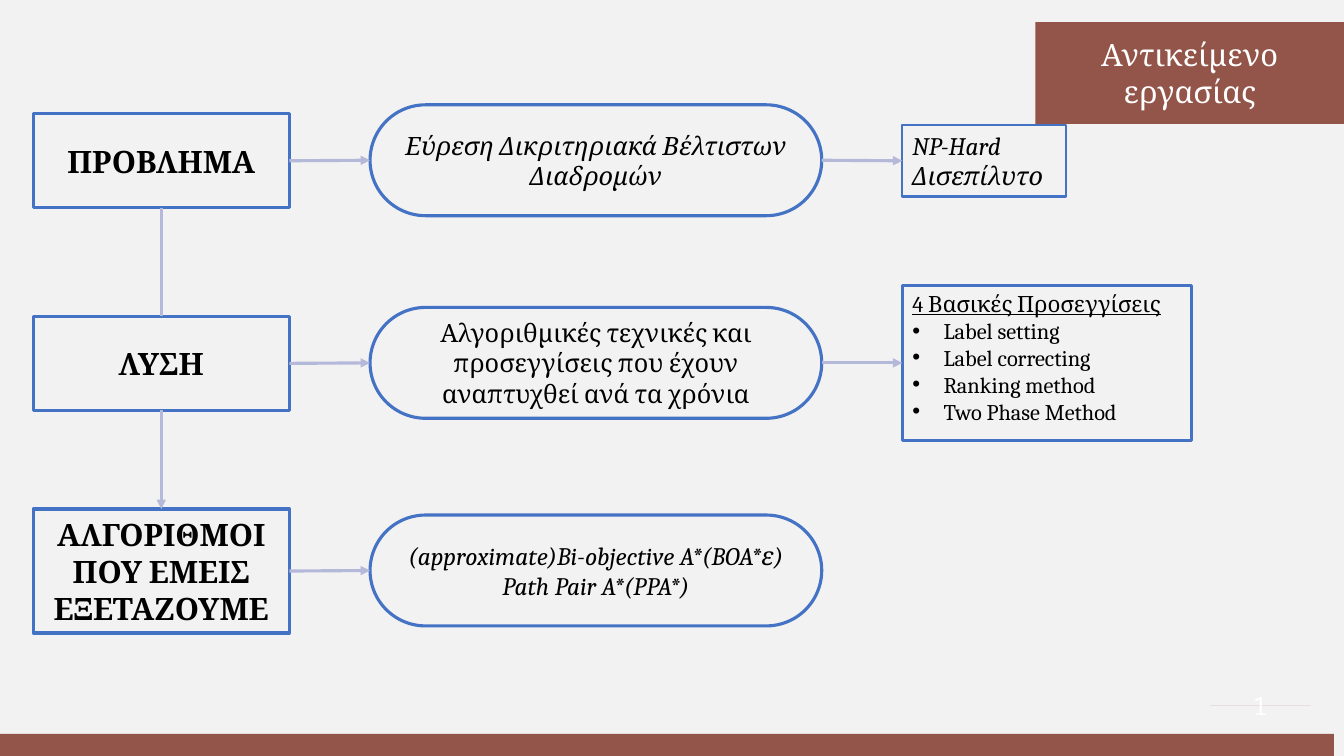
from math import cos, pi, sin

from lxml.etree import SubElement
from pptx import Presentation
from pptx.dml.color import RGBColor
from pptx.enum.shapes import MSO_CONNECTOR as Link, MSO_SHAPE as Form
from pptx.enum.text import MSO_ANCHOR as Anchor, MSO_AUTO_SIZE as Fit, PP_ALIGN as Align
from pptx.oxml.ns import qn
from pptx.util import Inches, Pt

COLORS = {
    "back": "F2F2F2",
    "brick": "935549",
    "blue": "4472C4",
    "lilac": "B4B9DA",
    "black": "000000",
    "white": "FFFFFF",
}
TOP, LEFT, BOTTOM, RIGHT = range(4)
ROWS = [
    (1.13, 0.93, "ΠΡΟΒΛΗΜΑ", 1.04, "Εύρεση Δικριτηριακά Βέλτιστων Διαδρομών", True),
    (3.14, 0.93, "ΛΥΣΗ", 3.05,
     "Αλγοριθμικές τεχνικές και προσεγγίσεις που έχουν αναπτυχθεί ανά τα χρόνια", False),
    (5.05, 1.23, "ΑΛΓΟΡΙΘΜΟΙ ΠΟΥ ΕΜΕΙΣ ΕΞΕΤΑΖΟΥΜΕ", 5.11,
     "(approximate)Bi-objective A*(BOA*ε)\nPath Pair A*(PPA*)", True),
]
METHODS = "4 Βασικές Προσεγγίσεις\nLabel setting\nLabel correcting\nRanking method\nTwo Phase Method"


def tint(name):
    return RGBColor.from_string(COLORS[name])


def paint(shape, name):
    shape.fill.solid()
    shape.fill.fore_color.rgb = tint(name)
    shape.line.fill.background()


def write(shape, text, size, color="black", font="Cambria", align=Align.CENTER,
          anchor=Anchor.MIDDLE, bold=False, italic=False):
    frame = shape.text_frame
    frame.text = text
    frame.word_wrap = True
    frame.auto_size = Fit.NONE
    frame.vertical_anchor = anchor
    for para in frame.paragraphs:
        para.alignment = align
        for run in para.runs:
            run.font.name = font
            run.font.size = Pt(size)
            run.font.bold = bold
            run.font.italic = italic
            run.font.color.rgb = tint(color)


def add_form(slide, form, *place):
    shape = slide.shapes.add_shape(form, *map(Inches, place))
    shape.shadow.inherit = False
    return shape


def add_box(slide, place, text, size, form=Form.RECTANGLE, width=2.25, **style):
    box = add_form(slide, form, *place)
    if form == Form.ROUNDED_RECTANGLE:
        box.adjustments[0] = 0.5
    box.fill.background()
    box.line.color.rgb = tint("blue")
    box.line.width = Pt(width)
    write(box, text, size, **style)
    return box


def join(slide, start, exit, end, entry, arrow=True):
    line = slide.shapes.add_connector(Link.STRAIGHT, 0, 0, 0, 0)
    line.begin_connect(start, exit)
    line.end_connect(end, entry)
    line.line.color.rgb = tint("lilac")
    line.line.width = Pt(2.25)
    if arrow:
        SubElement(line.line._get_or_add_ln(), qn("a:tailEnd"), type="triangle")
    SubElement(line._element.spPr, qn("a:effectLst"))


def add_bullet(para):
    props = para._p.get_or_add_pPr()
    props.set("marL", str(Inches(0.31)))
    props.set("indent", str(-Inches(0.31)))
    SubElement(props, qn("a:buFont"), typeface="Arial")
    SubElement(props, qn("a:buChar"), char="•")


def add_title(slide):
    title = slide.shapes.title
    title.left, title.top, title.width, title.height = map(Inches, (10.27, 0.22, 3.06, 1.01))
    paint(title, "brick")
    write(title, "Αντικείμενο εργασίας", 22, "white")


def add_footer(slide):
    steps = 60
    arc = [(12.71 - 0.52 * cos(pi * i / steps), 7.28 - 0.52 * sin(pi * i / steps))
           for i in range(steps + 1)]
    pen = slide.shapes.build_freeform(*arc[0], scale=Inches(1))
    pen.add_line_segments(arc[1:], close=True)
    dome = pen.convert_to_shape()
    dome.shadow.inherit = False
    paint(dome, "brick")
    write(dome, "1", 18, "white", "Noto Sans Mono")
    paint(add_form(slide, Form.RECTANGLE, 0, 7.28, 13.23, 0.22), "brick")


def add_rows(slide):
    heads, pills = [], []
    for top, height, head, y, text, italic in ROWS:
        heads.append(add_box(slide, (0.33, top, 2.54, height), head, 22, bold=True))
        pills.append(add_box(slide, (3.67, y, 4.48, 1.1), text, 18,
                             Form.ROUNDED_RECTANGLE, italic=italic))
        join(slide, heads[-1], RIGHT, pills[-1], LEFT)
    join(slide, heads[0], BOTTOM, heads[1], TOP, arrow=False)
    join(slide, heads[1], BOTTOM, heads[2], TOP)
    return pills


def add_notes(slide, pills):
    style = {"align": Align.LEFT, "anchor": Anchor.TOP}
    hard = add_box(slide, (8.95, 1.24, 1.62, 0.71), "NP-Hard\nΔισεπίλυτο", 18,
                   width=1.5, italic=True, **style)
    ways = add_box(slide, (8.95, 2.83, 2.87, 1.54), METHODS, 16, **style)
    head, *items = ways.text_frame.paragraphs
    head.runs[0].font.underline = True
    for item in items:
        add_bullet(item)
    for pill, note in zip(pills, (hard, ways)):
        join(slide, pill, RIGHT, note, LEFT)


def main():
    deck = Presentation()
    deck.slide_width, deck.slide_height = Inches(13.33), Inches(7.5)
    slide = deck.slides.add_slide(deck.slide_layouts[5])
    slide.background.fill.solid()
    slide.background.fill.fore_color.rgb = tint("back")
    add_title(slide)
    add_footer(slide)
    add_notes(slide, add_rows(slide))
    deck.save("out.pptx")


if __name__ == "__main__":
    main()
